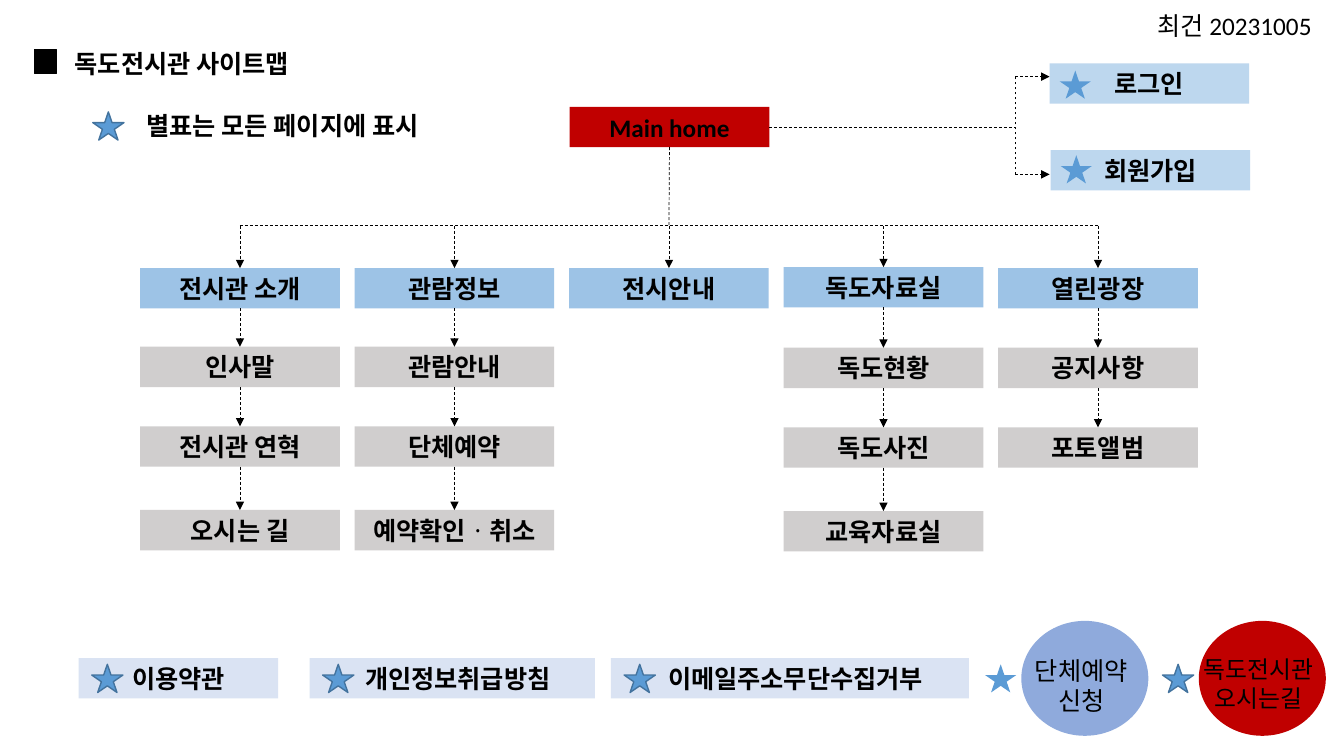
import pptx
import pptx.util
import pptx.dml.color
import pptx.enum.dml
import pptx.enum.shapes
import pptx.enum.text
import pptx.oxml
import pptx.oxml.ns
from dataclasses import dataclass
from lxml import etree

Inches = pptx.util.Inches
KIND = pptx.enum.shapes.MSO_SHAPE
TOP, BOTTOM, RIGHT = 0, 2, 3
DOT = "ㆍ"


@dataclass
class Theme:
    font: str = "Calibri"
    size: float = 18
    small: float = 17
    thin: float = 0.5
    edge: float = 1
    ink: str = "000000"
    red: str = "C00000"
    head: str = "9DC3E6"
    page: str = "D0CECE"
    login: str = "BDD7EE"
    foot: str = "DAE3F3"
    disc: str = "8FAADC"
    star: str = "5B9BD5"
    rim: str = "43739E"


def color(code):
    return pptx.dml.color.RGBColor.from_string(code)


def write(shape, text, *, theme, size=None, bold=True, pad=0.1):
    """Fill a shape with centred text, one paragraph a line."""
    frame = shape.text_frame
    frame.word_wrap = True
    frame.auto_size = pptx.enum.text.MSO_AUTO_SIZE.SHAPE_TO_FIT_TEXT
    frame.margin_left = Inches(pad)
    for index, line in enumerate(text.split("\n")):
        para = frame.add_paragraph() if index else frame.paragraphs[0]
        para.alignment = pptx.enum.text.PP_ALIGN.CENTER
        for part in filter(None, line.partition(DOT)):
            run = para.add_run()
            run.text = part
            run.font.name = theme.font
            run.font.size = pptx.util.Pt(size or theme.size)
            run.font.bold = bold and part != DOT
            run.font.color.rgb = color(theme.ink)


class Sitemap:
    def __init__(self, slide, theme):
        self.theme = theme
        self.slide = slide
        self.home = slide.shapes

    def group(self):
        """Place the next elements in a new group."""
        self.home = self.slide.shapes.add_group_shape().shapes

    def loose(self):
        """Place the next elements straight on the slide."""
        self.home = self.slide.shapes

    def shape(self, kind, x, y, w, h, fill, line=None):
        shape = self.home.add_shape(kind, *map(Inches, (x, y, w, h)))
        shape.shadow.inherit = False
        shape.fill.solid()
        shape.fill.fore_color.rgb = color(fill)
        if line:
            shape.line.color.rgb = color(line)
            shape.line.width = pptx.util.Pt(self.theme.edge)
        else:
            shape.line.fill.background()
        return shape

    def box(self, text, x, y, fill, w=1.98, **style):
        box = self.shape(KIND.RECTANGLE, x, y, w, 0.4, fill)
        write(box, text, theme=self.theme, **style)
        return box

    def note(self, text, x, y, w, h=0.4, **style):
        note = self.home.add_textbox(*map(Inches, (x, y, w, h)))
        write(note, text, theme=self.theme, **style)

    def star(self, x, y, rim=True):
        line = self.theme.rim if rim else None
        self.shape(KIND.STAR_5_POINT, x, y, 0.31, 0.28, self.theme.star, line)

    def link(self, start, end, head=True):
        """Draw a dashed line; an end is a point or a (box, side) pair."""
        points = [(0, 0) if hasattr(a, "left") else (Inches(a), Inches(b))
                  for a, b in (start, end)]
        link = self.home.add_connector(
            pptx.enum.shapes.MSO_CONNECTOR.STRAIGHT, *points[0], *points[1])
        if hasattr(start[0], "left"):
            link.begin_connect(*start)
        if hasattr(end[0], "left"):
            link.end_connect(*end)
        link.line.color.rgb = color(self.theme.ink)
        link.line.width = pptx.util.Pt(self.theme.thin)
        link.line.dash_style = pptx.enum.dml.MSO_LINE.DASH
        if head:
            tail = etree.SubElement(link.line._get_or_add_ln(),
                                    pptx.oxml.ns.qn("a:tailEnd"))
            tail.set("type", "triangle")
        etree.SubElement(link._element.spPr, pptx.oxml.ns.qn("a:effectLst"))


# Menu columns: top of the heading, shift of the pages, labels
MENUS = [
    (2.66, 0, ["전시관 소개", "인사말", "전시관 연혁", "오시는 길"]),
    (2.66, 0, ["관람정보", "관람안내", "단체예약", "예약확인ㆍ취소"]),
    (2.66, 0, ["전시안내"]),
    (2.65, 0.01, ["독도자료실", "독도현황", "독도사진", "교육자료실"]),
    (2.66, 0.01, ["열린광장", "공지사항", "포토앨범"]),
]
ROWS = [3.44, 4.23, 5.06]
LEFT, PITCH, HALF = 1.39, 2.1275, 0.99
TRUNK, FORK = 2.24, 10.07


def main():
    deck = pptx.Presentation()
    deck.slide_width, deck.slide_height = Inches(13.33), Inches(7.5)
    theme = Theme()
    site = Sitemap(deck.slides.add_slide(deck.slide_layouts[6]), theme)

    # Title, author and legend
    site.group()
    site.note("독도전시관 사이트맵", -0.68, 0.43, 4.97)
    site.shape(KIND.RECTANGLE, 0.34, 0.49, 0.22, 0.24, theme.ink, theme.ink)
    site.loose()
    site.note("최건 20231005", 11.28, 0.05, 1.93, bold=False)
    site.group()
    site.note("별표는 모든 페이지에 표시", 0.79, 1.05, 3.96, pad=0.16)
    site.star(0.92, 1.11)

    # Main page and trunk lines
    site.loose()
    start = site.box("Main home", 5.65, 1.06, theme.red)
    site.link((start, BOTTOM), (LEFT + 2 * PITCH + HALF, TRUNK), head=False)
    site.link((LEFT + HALF, TRUNK), (LEFT + 4 * PITCH + HALF, TRUNK), head=False)

    # Menu columns, each chained by arrows
    for col, (top, shift, labels) in enumerate(MENUS):
        x = LEFT + col * PITCH
        above = (x + HALF, TRUNK)
        tops = [top] + [row + shift for row in ROWS]
        for row, (label, y) in enumerate(zip(labels, tops)):
            box = site.box(label, x, y, theme.page if row else theme.head)
            site.link(above, (box, TOP))
            above = (box, BOTTOM)

    # Fork to the member pages
    site.link((start, RIGHT), (FORK, 1.26), head=False)
    site.link((FORK, 1.73), (FORK, 0.76), head=False)
    for y in (0.76, 1.73):
        site.link((FORK, y), (10.41, y))
    for label, x, y, drop in (("로그인", 10.41, 0.63, 0.07),
                              ("회원가입", 10.42, 1.49, 0.05)):
        site.group()
        site.box(label, x, y, theme.login)
        site.star(x + 0.1, y + drop, rim=False)

    # Footer links
    for label, x, w, pad in (("이용약관", 0.78, 1.98, 0.1),
                             ("개인정보취급방침", 3.07, 2.83, 0.21),
                             ("이메일주소무단수집거부", 6.06, 3.55, 0.21)):
        site.group()
        site.box(label, x, 6.53, theme.foot, w, pad=pad)
        site.star(x + 0.13, 6.59)

    # Round buttons
    for label, x, fill, size, pad, rim in (
            ("단체예약\n신청", 10.13, theme.disc, theme.size, 0.1, False),
            ("독도전시관\n오시는길", 11.89, theme.red, theme.small, 0.1, True)):
        site.group()
        site.shape(KIND.OVAL, x, 6.16, 1.26, 1.14, fill)
        site.note(label, x - 0.13, 6.45, 1.45, 0.7, size=size, bold=False, pad=pad)
        site.star(x - 0.36, 6.59, rim)

    deck.save("out.pptx")


if __name__ == "__main__":
    main()
